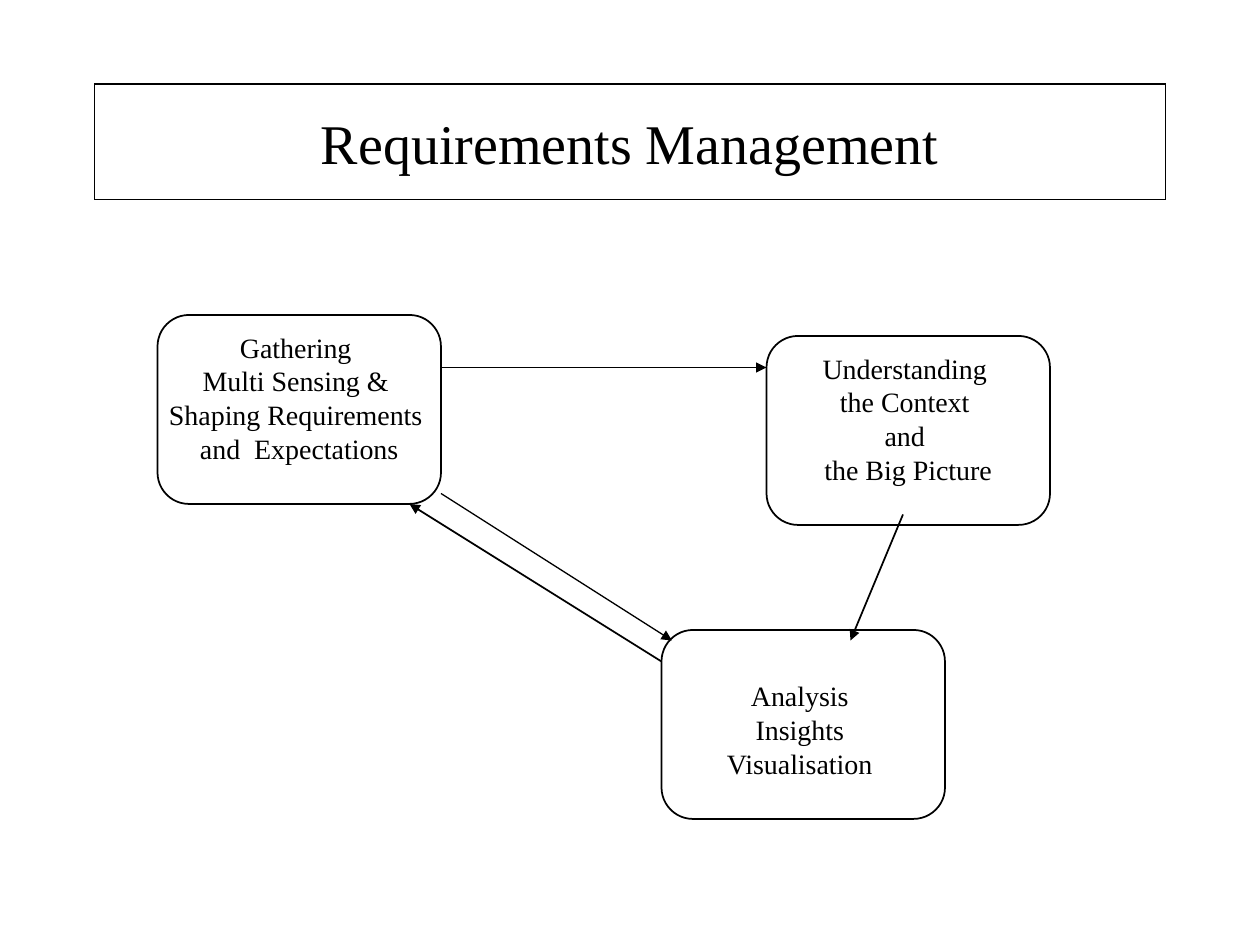
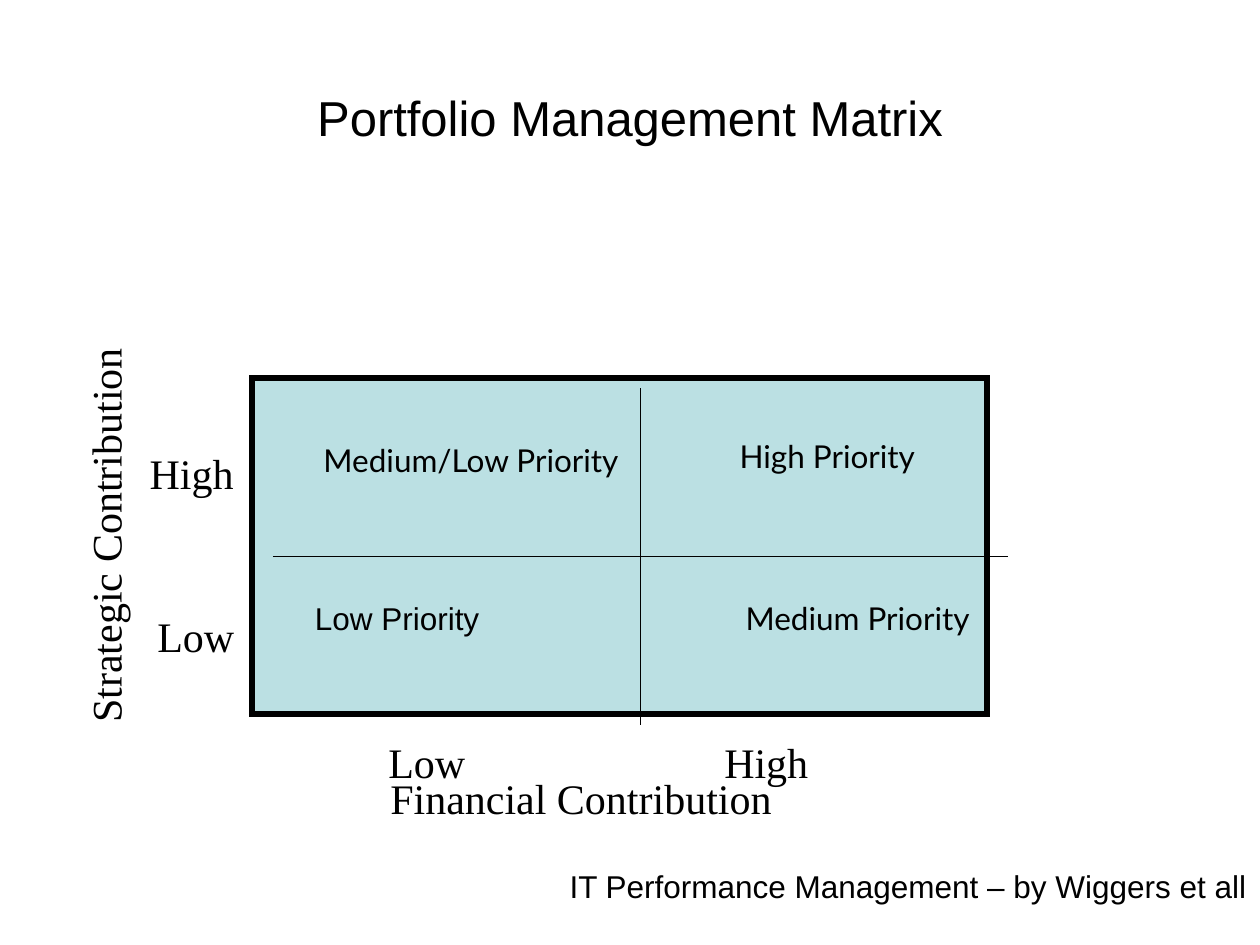
from dataclasses import dataclass

from lxml import etree
from pptx import Presentation
from pptx.dml.color import RGBColor
from pptx.enum.shapes import MSO_CONNECTOR, MSO_SHAPE
from pptx.enum.text import MSO_ANCHOR, MSO_AUTO_SIZE, PP_ALIGN
from pptx.oxml.ns import qn
from pptx.shapes.autoshape import Shape
from pptx.slide import Slide
from pptx.text.text import TextFrame
from pptx.util import Pt

BLACK = RGBColor(0x00, 0x00, 0x00)
AQUA = RGBColor(0xBB, 0xE0, 0xE3)
SERIF, SANS, LATO = "Times New Roman", "Arial", "Lato"
STRAIGHT = MSO_CONNECTOR.STRAIGHT
RECT, ROUND = MSO_SHAPE.RECTANGLE, MSO_SHAPE.ROUNDED_RECTANGLE
TOP, MIDDLE = MSO_ANCHOR.TOP, MSO_ANCHOR.MIDDLE
FIT, FIXED = MSO_AUTO_SIZE.SHAPE_TO_FIT_TEXT, MSO_AUTO_SIZE.NONE
LEFT, CENTER = PP_ALIGN.LEFT, PP_ALIGN.CENTER
TITLE_ONLY = 5


@dataclass
class Stage:
    """A rounded box of the requirements cycle."""
    left: float
    top: float
    text: str
    inset: float = 3.6


@dataclass
class Line:
    x1: float
    y1: float
    x2: float
    y2: float
    width: float = 0.75
    arrow: bool = False


@dataclass
class Label:
    text: str
    left: float
    top: float
    width: float
    height: float = 36
    size: float = 24
    font: str = SERIF
    turn: float = 0
    wrap: bool = False


STAGES = [
    Stage(90, 180, "Gathering \nMulti Sensing & \nShaping Requirements \n"
                   "and  Expectations"),
    Stage(438, 192, "Understanding \nthe Context \nand \nthe Big Picture"),
    Stage(378, 360, "Analysis \nInsights \nVisualisation ", inset=22.8),
]
ARROWS = [
    Line(378, 378, 234, 288, 1, True),
    Line(252, 210, 438, 210, 1, True),
    Line(516, 294, 486, 366, 1, True),
    Line(252, 282, 384, 366, 0.75, True),
]
CROSS = [Line(366, 222, 366, 414), Line(156, 318, 576, 318)]
LABELS = [
    # Axis marks
    Label("Low", 214.8, 417.6, 62),
    Label("High", 406.8, 417.6, 66),
    Label("Low", 82.8, 345.6, 62),
    Label("High", 78.4, 252, 66),
    # Axis names
    Label("Financial Contribution", 216, 438, 299, wrap=True),
    Label("Strategic Contribution", -56, 286, 232, turn=270),
    # Quadrants
    Label("High Priority", 415.6, 246.2, 125, 28.8, 18, LATO),
    Label("Medium/Low Priority", 177.8, 248.4, 196, 28.8, 18, LATO),
    Label("Medium Priority", 419, 338.6, 155, 28.8, 18, LATO),
    Label("Low Priority", 172.8, 339, 112, 28.8, 18, SANS),
    # Source
    Label("IT Performance Management – by Wiggers et all",
          318.4, 491.8, 401.6, 28.8, 18, SANS),
]


def write(frame: TextFrame, text: str, size: float, font: str,
          align: PP_ALIGN) -> None:
    frame.text = text
    for para in frame.paragraphs:
        para.alignment = align
        para.font.size = Pt(size)
        para.font.name = font
        para.font.color.rgb = BLACK


def outline(shape: Shape, width: float) -> None:
    """Draw a black line with square corners."""
    shape.line.color.rgb = BLACK
    shape.line.width = Pt(width)
    etree.SubElement(shape.line._get_or_add_ln(), qn("a:miter"), lim="800000")


def add_title(slide: Slide, text: str, box: tuple[float, ...], size: float,
              font: str) -> Shape:
    title = slide.shapes.title
    title.left, title.top, title.width, title.height = map(Pt, box)
    frame = title.text_frame
    frame.auto_size = FIXED
    frame.vertical_anchor = MIDDLE
    write(frame, text, size, font, CENTER)
    return title


def add_stage(slide: Slide, stage: Stage) -> None:
    box = slide.shapes.add_shape(ROUND, Pt(stage.left), Pt(stage.top),
                                 Pt(162), Pt(108))
    box.shadow.inherit = False
    box.fill.background()
    outline(box, 1)
    frame = box.text_frame
    frame.word_wrap = False
    frame.vertical_anchor = TOP
    frame.margin_top = Pt(stage.inset)
    write(frame, stage.text, 16, SERIF, CENTER)


def add_line(slide: Slide, line: Line) -> None:
    link = slide.shapes.add_connector(STRAIGHT, Pt(line.x1), Pt(line.y1),
                                      Pt(line.x2), Pt(line.y2))
    outline(link, line.width)
    if line.arrow:
        etree.SubElement(link.line._get_or_add_ln(), qn("a:tailEnd"),
                         type="triangle")
    etree.SubElement(link._element.spPr, qn("a:effectLst"))


def add_label(slide: Slide, label: Label) -> None:
    box = slide.shapes.add_textbox(Pt(label.left), Pt(label.top),
                                   Pt(label.width), Pt(label.height))
    box.rotation = label.turn
    frame = box.text_frame
    frame.word_wrap = label.wrap
    frame.auto_size = FIT
    write(frame, label.text, label.size, label.font, LEFT)


def draw_cycle(slide: Slide) -> None:
    title = add_title(slide, "Requirements Management", (54, 48, 612, 66),
                      32, SERIF)
    outline(title, 0.75)
    for stage in STAGES:
        add_stage(slide, stage)
    for arrow in ARROWS:
        add_line(slide, arrow)


def draw_matrix(slide: Slide) -> None:
    add_title(slide, "Portfolio Management Matrix", (36, 21.6, 648, 90),
              28, SANS)
    field = slide.shapes.add_shape(RECT, Pt(144), Pt(216), Pt(420), Pt(192))
    field.shadow.inherit = False
    field.fill.solid()
    field.fill.fore_color.rgb = AQUA
    outline(field, 3)
    for line in CROSS:
        add_line(slide, line)
    for label in LABELS:
        add_label(slide, label)


def main() -> None:
    deck = Presentation()
    deck.slide_width, deck.slide_height = Pt(720), Pt(540)
    for draw in (draw_cycle, draw_matrix):
        draw(deck.slides.add_slide(deck.slide_layouts[TITLE_ONLY]))
    deck.save("out.pptx")


if __name__ == "__main__":
    main()
